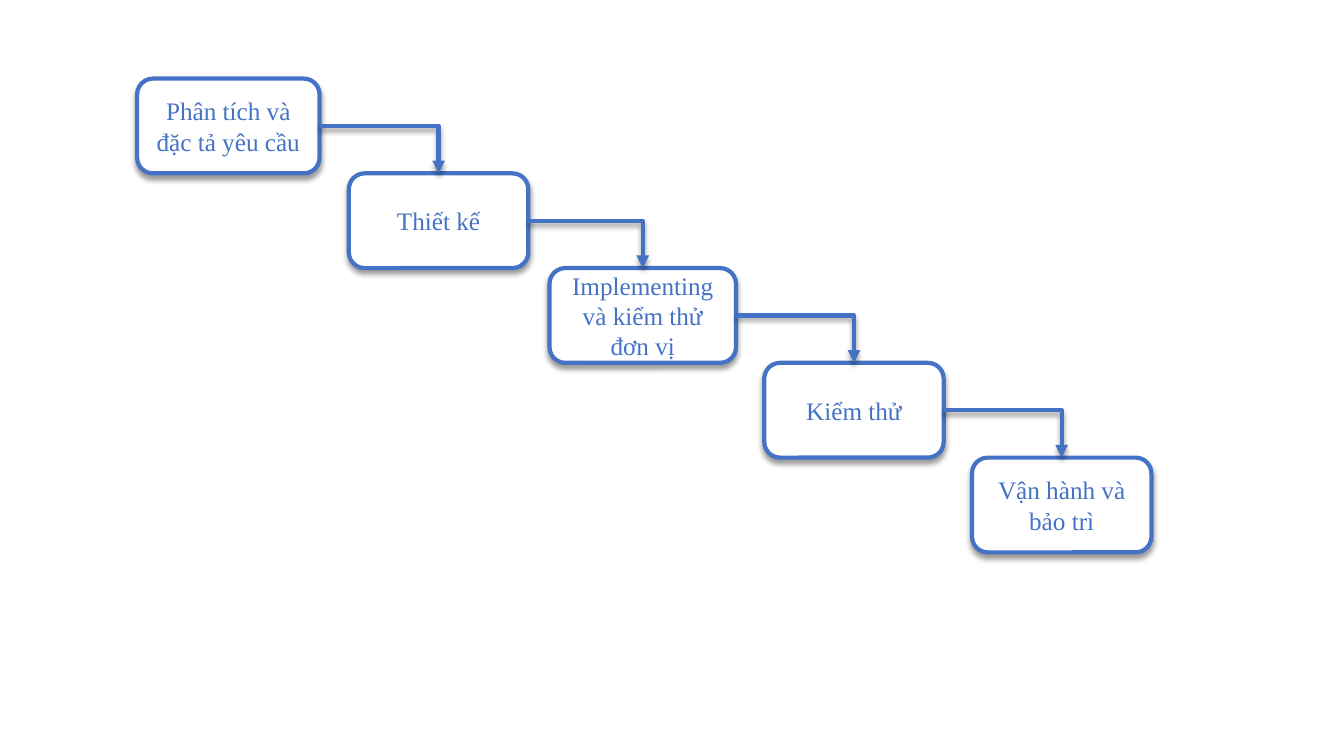
from dataclasses import dataclass

from lxml import etree
from pptx import Presentation, util as u
from pptx.dml.color import RGBColor
from pptx.enum import shapes, text
from pptx.oxml import parse_xml
from pptx.oxml.ns import nsdecls, qn

PX = u.Inches(0.01)  # one px is a hundredth of an inch


@dataclass(frozen=True)
class Theme:
    blue: RGBColor = RGBColor(0x44, 0x72, 0xC4)
    white: RGBColor = RGBColor(0xFF, 0xFF, 0xFF)
    shade: str = "000000"
    font: str = "Times New Roman"
    size: int = 18
    line: int = 3


class Chart:
    """Draws boxes and arrows on one slide."""

    def __init__(self, slide, theme):
        self.slide = slide
        self.theme = theme

    def outline(self, item):
        """Set the line, then the soft shadow below it."""
        item.line.color.rgb = self.theme.blue
        item.line.width = u.Pt(self.theme.line)
        item._element.spPr.append(parse_xml(
            f'<a:effectLst {nsdecls("a")}>'
            f'<a:outerShdw blurRad="{u.Pt(4)}" dist="{u.Pt(3)}" dir="5400000" rotWithShape="0">'
            f'<a:srgbClr val="{self.theme.shade}"><a:alpha val="40000"/></a:srgbClr>'
            '</a:outerShdw></a:effectLst>'))

    def box(self, label, left, top, width, height):
        box = self.slide.shapes.add_shape(
            shapes.MSO_SHAPE.ROUNDED_RECTANGLE,
            left * PX, top * PX, width * PX, height * PX)
        box.fill.solid()
        box.fill.fore_color.rgb = self.theme.white
        self.outline(box)
        frame = box.text_frame
        frame.text = label
        frame.word_wrap = True
        frame.vertical_anchor = text.MSO_ANCHOR.MIDDLE
        para = frame.paragraphs[0]
        para.alignment = text.PP_ALIGN.CENTER
        para.font.name = self.theme.font
        para.font.size = u.Pt(self.theme.size)
        para.font.color.rgb = self.theme.blue
        return box

    def arrow(self, start, end):
        """Run from the right side of one box to the top of the next."""
        arrow = self.slide.shapes.add_connector(
            shapes.MSO_CONNECTOR.ELBOW, 0, 0, 0, 0)
        arrow.begin_connect(start, 3)
        arrow.end_connect(end, 0)
        arrow._element.spPr.find(qn("a:prstGeom")).set("prst", "bentConnector2")
        self.outline(arrow)
        etree.SubElement(arrow.line._get_or_add_ln(), qn("a:tailEnd"), type="triangle")


# Steps of the waterfall: label, left, width
STEPS = [
    ("Phân tích và đặc tả yêu cầu", 136, 181),
    ("Thiết kế", 346, 178),
    ("Implementing và kiểm thử đơn vị", 545, 185),
    ("Kiểm thử", 758, 178),
    ("Vận hành và bảo trì", 964, 178),
]
TOP, HEIGHT = 78, 94


def main():
    deck = Presentation()
    deck.slide_width, deck.slide_height = 1333 * PX, 750 * PX
    chart = Chart(deck.slides.add_slide(deck.slide_layouts[6]), Theme())

    # Each box starts where the one before it ends
    boxes = [chart.box(label, left, TOP + row * HEIGHT, width, HEIGHT)
             for row, (label, left, width) in enumerate(STEPS)]

    # Arrows between neighbours
    for start, end in zip(boxes, boxes[1:]):
        chart.arrow(start, end)

    deck.save("out.pptx")


if __name__ == "__main__":
    main()
